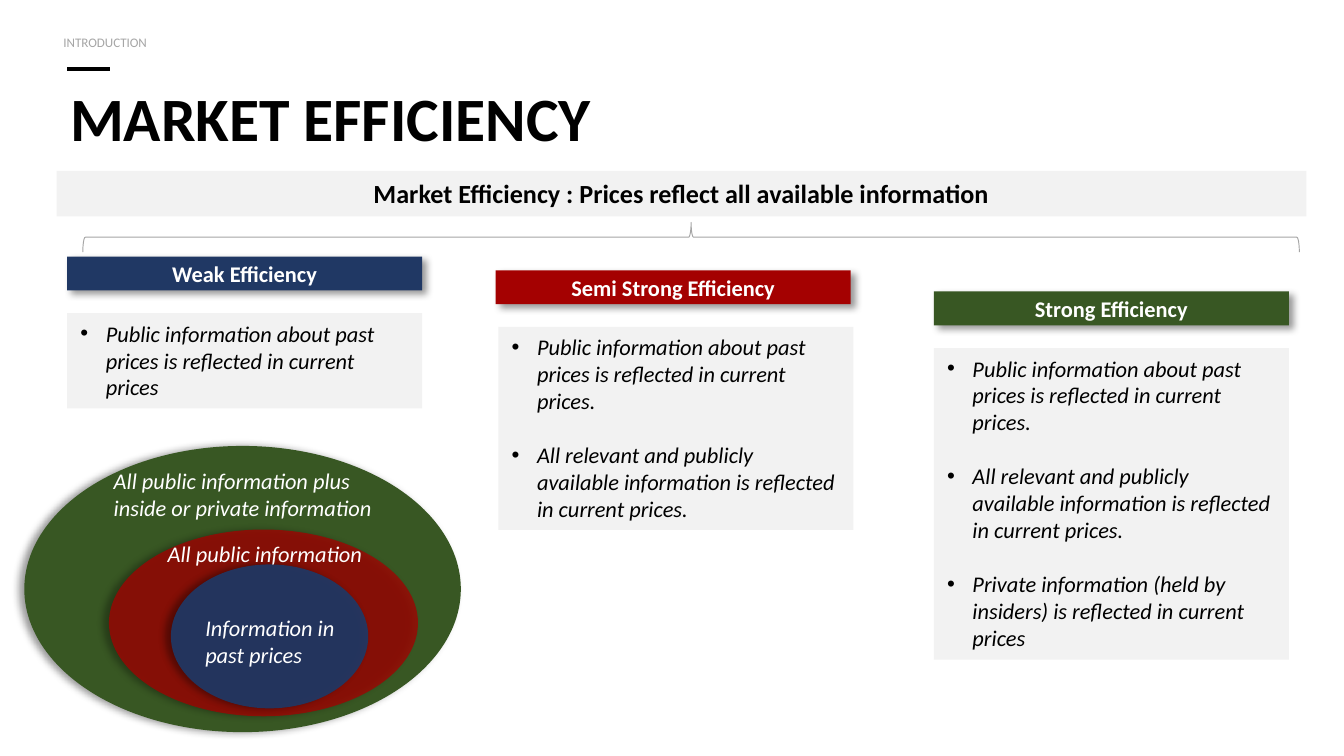
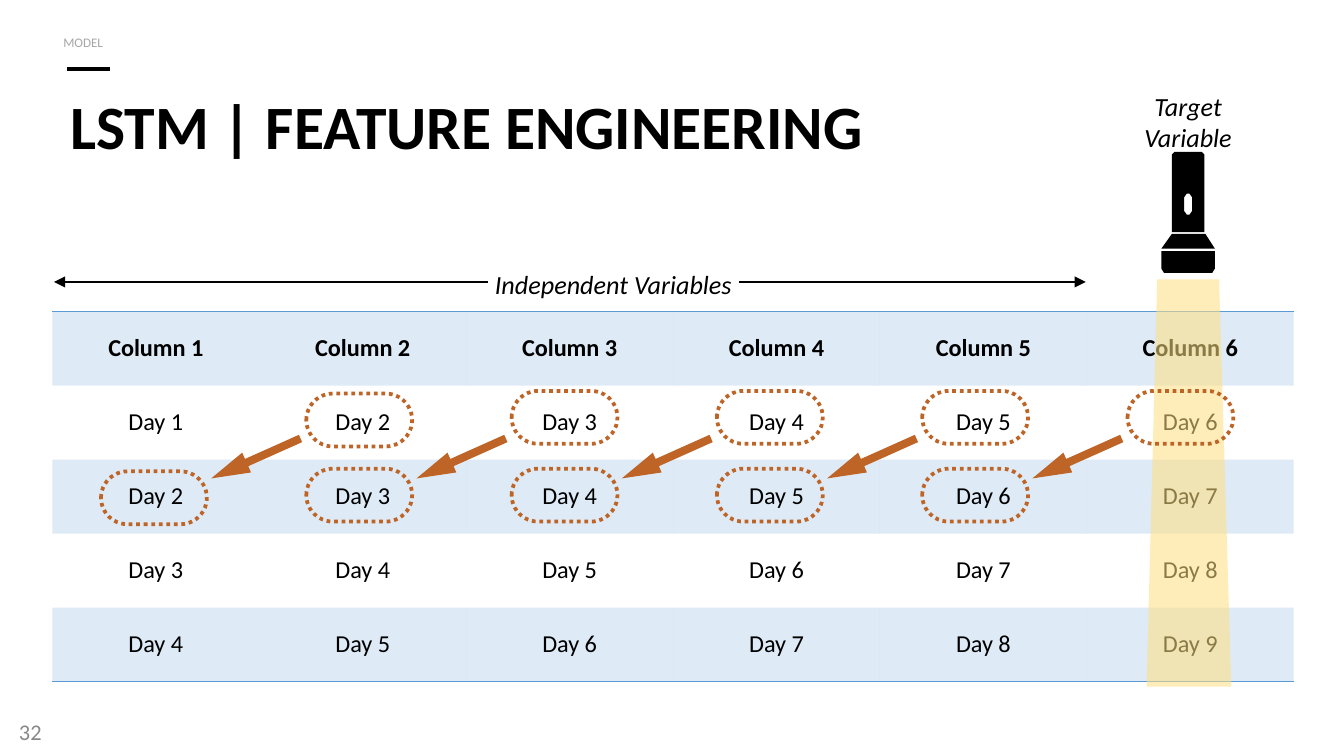
from dataclasses import dataclass
from typing import Optional

from lxml import etree
from pptx import Presentation
from pptx import util as u
from pptx.dml.color import RGBColor
from pptx.enum import dml, shapes, text
from pptx.oxml.ns import qn

Cm, Pt = u.Cm, u.Pt
FONT = "Calibri"
COLORS = {
    "black": "000000", "white": "FFFFFF", "panel": "F2F2F2", "brace": "A5A5A5",
    "section": "A6A6A6", "page": "888888", "weak": "203864", "semi": "A40101",
    "strong": "385723", "table": "5B9BD5", "shift": "BE6427", "beam": "FFE080",
}
LEFT, CENTER = text.PP_ALIGN.LEFT, text.PP_ALIGN.CENTER
TOP, MIDDLE = text.MSO_ANCHOR.TOP, text.MSO_ANCHOR.MIDDLE
NO_STYLE = "{2D5ABB26-0587-4C30-8999-92F81FD0307C}"


@dataclass(frozen=True)
class Box:
    """Position and size in centimetres."""
    left: float
    top: float
    width: float
    height: float

    def lengths(self) -> list:
        return [Cm(n) for n in (self.left, self.top, self.width, self.height)]


@dataclass(frozen=True)
class Style:
    size: float
    color: str = "black"
    bold: bool = False
    italic: bool = False
    align: text.PP_ALIGN = LEFT
    anchor: text.MSO_ANCHOR = TOP
    leading: Optional[float] = None
    gap: float = 0
    bullet: bool = False
    wrap: bool = True
    tight: bool = False


@dataclass(frozen=True)
class Form:
    """One form of market efficiency."""
    name: str
    color: str
    left: float
    list_left: float
    top: float
    list_height: float
    points: tuple


@dataclass(frozen=True)
class Ring:
    """One set of information with its caption."""
    color: str
    alpha: int
    box: Box
    caption: str
    caption_box: Box


TITLE = Style(33, bold=True, leading=30)
SECTION = Style(7, "section", leading=10, tight=True)
BANNER = Style(14, bold=True, align=CENTER)
FORM_NAME = Style(12, "white", bold=True, align=CENTER, anchor=MIDDLE)
POINTS = Style(12, italic=True, bullet=True, gap=14.6)
CAPTION = Style(12, "white", italic=True)
LABEL = Style(14, italic=True, align=CENTER, wrap=False, tight=True)
PAGE = Style(12, "page", anchor=MIDDLE, wrap=False, tight=True)
HEADING = Style(13, bold=True, align=CENTER, anchor=MIDDLE)
DAY = Style(13, align=CENTER, anchor=MIDDLE)

PAST = "Public information about past prices is reflected in current prices"
PUBLIC = "All relevant and publicly available information is reflected in current prices."
PRIVATE = "Private information (held by insiders) is reflected in current prices"
FORMS = (
    Form("Weak Efficiency", "weak", 1.27, 1.27, 4.85, 1.8, (PAST,)),
    Form("Semi Strong Efficiency", "semi", 9.37, 9.42, 5.11, 3.84, (PAST + ".", PUBLIC)),
    Form("Strong Efficiency", "strong", 17.65, 17.65, 5.51, 5.89,
         (PAST + ".", PUBLIC, PRIVATE)),
)
RINGS = (
    Ring("strong", 100, Box(0.46, 8.43, 8.25, 5.41),
         "All public information plus inside or private information",
         Box(1.9, 8.71, 5.84, 1.14)),
    Ring("semi", 76, Box(2.06, 10.01, 5.84, 3.53),
         "All public information", Box(2.92, 10.08, 6.3, 0.69)),
    Ring("weak", 93, Box(3.23, 10.67, 3.73, 2.72),
         "Information in past prices", Box(3.63, 11.48, 3.43, 1.14)),
)

# Outlines in centimetres; the last torch contour is the switch, cut out of the barrel
BEAM = [[(21.87, 5.28), (21.67, 12.98), (23.27, 12.98), (23.04, 5.28)]]
TORCH = [
    [(21.95, 4.75), (22.96, 4.75), (22.96, 5.08), (22.91, 5.16), (22, 5.16), (21.95, 5.08)],
    [(22.15, 4.42), (22.78, 4.42), (22.96, 4.7), (21.95, 4.7)],
    [(22.15, 4.39), (22.15, 2.92), (22.2, 2.87), (22.71, 2.87), (22.76, 2.92), (22.76, 4.39)],
    [(22.38, 3.73), (22.38, 3.99), (22.43, 4.06), (22.48, 4.06),
     (22.53, 3.99), (22.53, 3.73), (22.48, 3.66), (22.43, 3.66)],
]


def rgb(name: str) -> RGBColor:
    return RGBColor.from_string(COLORS[name])


def add_alpha(color_element, percent: int) -> None:
    etree.SubElement(color_element, qn("a:alpha"), val=str(percent * 1000))


def paint(fill, properties, color: str, alpha: int = 100) -> None:
    fill.solid()
    fill.fore_color.rgb = rgb(color)
    if alpha < 100:
        add_alpha(properties.find(qn("a:solidFill"))[0], alpha)


def write(frame, paragraphs, style: Style) -> None:
    for number, words in enumerate(paragraphs):
        paragraph = frame.add_paragraph() if number else frame.paragraphs[0]
        if style.bullet:
            props = paragraph._p.get_or_add_pPr()
            props.set("marL", str(Cm(0.48)))
            props.set("indent", str(-Cm(0.48)))
            etree.SubElement(props, qn("a:buFont"), typeface="Arial")
            etree.SubElement(props, qn("a:buChar"), char="•")
        paragraph.alignment = style.align
        if style.leading:
            paragraph.line_spacing = Pt(style.leading)
        if number and style.gap:
            paragraph.space_before = Pt(style.gap)
        run = paragraph.add_run()
        run.text = words
        font = run.font
        font.name, font.size = FONT, Pt(style.size)
        font.bold, font.italic = style.bold, style.italic
        font.color.rgb = rgb(style.color)


def fill_frame(frame, paragraphs, style: Style) -> None:
    frame.word_wrap = style.wrap
    frame.vertical_anchor = style.anchor
    if style.tight:
        frame.margin_left = frame.margin_right = Cm(0.13)
        frame.margin_top = frame.margin_bottom = Cm(0.13)
    write(frame, paragraphs, style)


def add_label(slide, box: Box, paragraphs, style: Style):
    label = slide.shapes.add_textbox(*box.lengths())
    fill_frame(label.text_frame, paragraphs, style)
    return label


def add_block(slide, kind, box: Box, color: Optional[str] = None, alpha: int = 100,
              shadow_angle: Optional[int] = None):
    block = slide.shapes.add_shape(kind, *box.lengths())
    block.shadow.inherit = False
    block.line.fill.background()
    if color:
        paint(block.fill, block._element.spPr, color, alpha)
    else:
        block.fill.background()
    if shadow_angle is not None:
        effects = block._element.spPr.find(qn("a:effectLst"))
        shadow = etree.SubElement(effects, qn("a:outerShdw"), blurRad=str(Pt(4)),
                                  dist=str(Pt(3)), dir=str(shadow_angle * 60000),
                                  rotWithShape="0")
        add_alpha(etree.SubElement(shadow, qn("a:srgbClr"), val=COLORS["black"]), 40)
    return block


def add_outline(slide, contours, color: str, alpha: int = 100) -> None:
    builder = None
    for contour in contours:
        points = [(Cm(x), Cm(y)) for x, y in contour]
        if builder is None:
            builder = slide.shapes.build_freeform(*points[0])
        else:
            builder.move_to(*points[0])
        builder.add_line_segments(points[1:], close=True)
    outline = builder.convert_to_shape()
    outline.shadow.inherit = False
    outline.line.fill.background()
    paint(outline.fill, outline._element.spPr, color, alpha)


def add_line(slide, x1: float, x2: float, y: float, width: float, arrow: bool = False):
    line = slide.shapes.add_connector(shapes.MSO_CONNECTOR.STRAIGHT,
                                      Cm(x1), Cm(y), Cm(x2), Cm(y))
    line.line.width = Pt(width)
    line.line.color.rgb = rgb("black")
    if arrow:
        etree.SubElement(line.line._get_or_add_ln(), qn("a:tailEnd"), type="triangle")
    etree.SubElement(line._element.spPr, qn("a:effectLst"))
    return line


def add_slide(deck, section: str, heading: str, title_top: float):
    slide = deck.slides.add_slide(deck.slide_layouts[5])
    add_line(slide, 1.27, 2.08, 1.3, 2.25)
    title = slide.shapes.title
    title.left, title.top, title.width, title.height = Box(1.07, title_top, 23.42, 2.29).lengths()
    title.text_frame.auto_size = text.MSO_AUTO_SIZE.NONE
    fill_frame(title.text_frame, [heading], TITLE)
    add_label(slide, Box(1.07, 0.46, 11.48, 0.58), [section], SECTION)
    return slide


def build_efficiency(deck) -> None:
    kinds = shapes.MSO_SHAPE
    slide = add_slide(deck, "INTRODUCTION", "MARKET EFFICIENCY", 1.73)
    banner = add_block(slide, kinds.RECTANGLE, Box(1.07, 3.23, 23.62, 0.86), "panel")
    fill_frame(banner.text_frame,
               ["Market Efficiency : Prices reflect all available information"], BANNER)
    brace = add_block(slide, kinds.LEFT_BRACE, Box(12.78, -7.01, 0.56, 22.99))
    brace.rotation = 90
    brace.line.color.rgb = rgb("brace")
    brace.line.width = Pt(0.5)

    # Three forms, each a name bar over a list
    for form in FORMS:
        name_bar = add_block(slide, kinds.RECTANGLE, Box(form.left, form.top, 6.71, 0.64),
                             form.color, shadow_angle=45)
        fill_frame(name_bar.text_frame, [form.name], FORM_NAME)
        panel = add_block(slide, kinds.RECTANGLE,
                          Box(form.list_left, form.top + 1.07, 6.71, form.list_height), "panel")
        fill_frame(panel.text_frame, form.points, POINTS)

    # Nested information sets, captions on top
    for ring in RINGS:
        add_block(slide, kinds.OVAL, ring.box, ring.color, ring.alpha, shadow_angle=180)
    for ring in RINGS:
        add_label(slide, ring.caption_box, [ring.caption], CAPTION)


def add_border(cell, side: str) -> None:
    border = etree.Element(qn(f"a:{side}"), w=str(Pt(1)))
    solid = etree.SubElement(border, qn("a:solidFill"))
    etree.SubElement(solid, qn("a:srgbClr"), val=COLORS["table"])
    cell._tc.get_or_add_tcPr().insert(0, border)


def add_days_table(slide, rows: int = 5, columns: int = 6) -> None:
    frame = slide.shapes.add_table(rows, columns, *Box(0.99, 5.89, 23.46, 7).lengths())
    table = frame.table
    table.first_row = table.horz_banding = False
    table._tbl.tblPr.find(qn("a:tableStyleId")).text = NO_STYLE
    for column in table.columns:
        column.width = Cm(3.91)
    for r, row in enumerate(table.rows):
        row.height = Cm(1.4)
        for c, cell in enumerate(row.cells):
            cell.margin_left = cell.margin_right = cell.margin_top = cell.margin_bottom = 0
            cell.vertical_anchor = MIDDLE
            if r % 2:
                cell.fill.background()
            else:
                paint(cell.fill, cell._tc.get_or_add_tcPr(), "table", 20)
            if r == 0:
                add_border(cell, "lnT")
                write(cell.text_frame, [f"Column {c + 1}"], HEADING)
            else:
                write(cell.text_frame, [f"Day {r + c}"], DAY)
            if r == rows - 1:
                add_border(cell, "lnB")


def add_ring(slide, left: float, top: float) -> None:
    ring = add_block(slide, shapes.MSO_SHAPE.ROUNDED_RECTANGLE, Box(left, top, 2, 1))
    ring.adjustments[0] = 0.5
    ring.line.color.rgb = rgb("shift")
    ring.line.width = Pt(2)
    ring.line.dash_style = dml.MSO_LINE.ROUND_DOT


def build_features(deck) -> None:
    slide = add_slide(deck, "MODEL", "LSTM | FEATURE ENGINEERING", 1.88)
    add_label(slide, Box(0.23, 13.49, 0.71, 0.69), ["32"], PAGE)
    add_days_table(slide)
    add_outline(slide, BEAM, "beam", 55)
    add_outline(slide, TORCH, "black")

    # Each day moves one column left in the next row
    pitch = 3.88
    for step in range(5):
        drop = 0 if step else 0.05
        add_ring(slide, 1.91 + pitch * (step + 1), 7.39 + drop)
        add_ring(slide, 1.91 + pitch * step, 8.86 + drop)
        arrow = add_block(slide, shapes.MSO_SHAPE.RIGHT_ARROW,
                          Box(3.91 + pitch * step, 8.46, 1.85, 0.41), "shift")
        arrow.rotation = 155.9
        arrow.adjustments[0], arrow.adjustments[1] = 0.37, 1.79

    # Variable labels
    add_label(slide, Box(21.49, 1.57, 1.93, 1.42), ["Target", "Variable"], LABEL)
    independent = add_label(slide, Box(9.22, 4.94, 4.75, 0.78), ["Independent Variables"], LABEL)
    for side, start, end in ((1, 9.22, 1.02), (3, 13.97, 20.52)):
        add_line(slide, start, end, 5.33, 1, arrow=True).begin_connect(independent, side)


def main() -> None:
    deck = Presentation()
    deck.slide_width, deck.slide_height = Cm(25.4), Cm(14.29)
    build_efficiency(deck)
    build_features(deck)
    deck.save("out.pptx")


if __name__ == "__main__":
    main()
